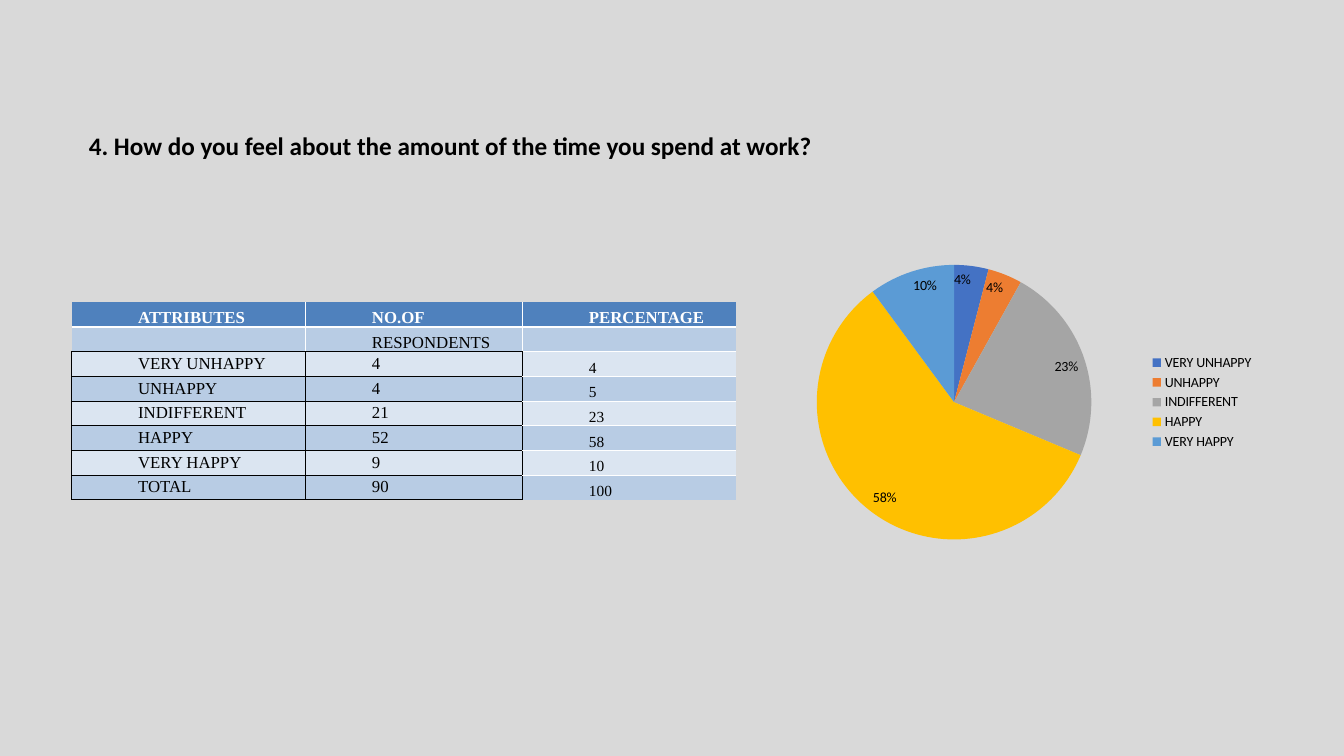
from lxml.etree import SubElement as Sub
from pptx import Presentation
from pptx.chart.data import CategoryChartData as ChartData
from pptx.dml.color import RGBColor
from pptx.enum.chart import XL_CHART_TYPE as Kind
from pptx.enum.chart import XL_LABEL_POSITION as Spot
from pptx.enum.chart import XL_LEGEND_POSITION as Side
from pptx.enum.text import MSO_ANCHOR as Anchor
from pptx.enum.text import PP_ALIGN as Align
from pptx.oxml.ns import qn
from pptx.util import Pt

TITLE = "4. How do you feel about the amount of the time you spend at work?"
ROWS = [
    ("ATTRIBUTES", "NO.OF", "PERCENTAGE"),
    ("", "RESPONDENTS", ""),
    ("VERY UNHAPPY", "4", "4"),
    ("UNHAPPY", "4", "5"),
    ("INDIFFERENT", "21", "23"),
    ("HAPPY", "52", "58"),
    ("VERY HAPPY", "9", "10"),
    ("TOTAL", "90", "100"),
]
WIDTHS = (167, 155, 152.5)
ROW_H = 17.64
SLICES = [
    ("VERY UNHAPPY", 4, "4472C4"),
    ("UNHAPPY", 4, "ED7D31"),
    ("INDIFFERENT", 23, "A5A5A5"),
    ("HAPPY", 58, "FFC000"),
    ("VERY HAPPY", 10, "5B9BD5"),
]
BLACK, WHITE = "000000", "FFFFFF"
HEAD, DARK, LIGHT = "4F81BD", "B8CCE4", "DBE5F1"


def paint(fill, color):
    fill.solid()
    fill.fore_color.rgb = RGBColor.from_string(color)


def style(font, face, size, color, bold=False):
    font.name, font.size, font.bold = face, Pt(size), bold
    font.color.rgb = RGBColor.from_string(color)


def across(edge, col):
    """Colour and width of the horizontal rule above row number edge."""
    if edge == 0 or (edge == len(ROWS) and col == 2):
        return None
    if edge == 1:
        return WHITE, 1.5
    return (BLACK if col < 2 else WHITE), 1


def down(edge, row):
    """Colour and width of the vertical rule left of column number edge."""
    if edge == 3 or (row < 2 and edge == 0):
        return None
    return (WHITE if row < 2 else BLACK), 1


def border(cell, row, col):
    props = cell._tc.get_or_add_tcPr()
    rules = {"lnL": down(col, row), "lnR": down(col + 1, row),
             "lnT": across(row, col), "lnB": across(row + 1, col)}
    for tag, rule in rules.items():
        line = Sub(props, qn("a:" + tag))
        if rule is None:
            Sub(line, qn("a:noFill"))
            continue
        color, width = rule
        line.set("w", str(int(Pt(width))))
        fill = Sub(line, qn("a:solidFill"))
        Sub(fill, qn("a:srgbClr")).set("val", color)


def fill_cell(cell, row, col, text):
    border(cell, row, col)
    paint(cell.fill, HEAD if row == 0 else DARK if row % 2 else LIGHT)
    cell.margin_left = cell.margin_right = Pt(5)
    cell.margin_top = cell.margin_bottom = 0
    low = row < 2 or col == 2
    cell.vertical_anchor = Anchor.BOTTOM if low else Anchor.TOP
    para = cell.text_frame.paragraphs[0]
    para.text = text
    para.alignment = Align.JUSTIFY
    para.line_spacing = 1.15
    para._p.get_or_add_pPr().set("marL", str(int(Pt(42.5))))
    if not text:
        para._p.get_or_add_endParaRPr().set("sz", "1200")
    size = 11 if row > 1 and col == 2 else 12
    for run in para.runs:
        style(run.font, "Times New Roman", size,
              WHITE if row == 0 else BLACK, row == 0)


def add_title(slide):
    title = slide.shapes.title
    title.left, title.top = Pt(56.2), Pt(89.3)
    title.width, title.height = Pt(531.4), Pt(51)
    frame = title.text_frame
    frame.text = TITLE
    frame.word_wrap = False
    frame.vertical_anchor = Anchor.TOP
    para = frame.paragraphs[0]
    para.alignment = Align.LEFT
    para.line_spacing = 1
    style(para.runs[0].font, "Calibri", 18, BLACK, True)


def add_grid(slide):
    grid = slide.shapes.add_table(
        len(ROWS), len(WIDTHS), Pt(51.2), Pt(216),
        Pt(sum(WIDTHS)), Pt(ROW_H * len(ROWS))).table
    grid.first_row = grid.horz_banding = False
    for col, width in zip(grid.columns, WIDTHS):
        col.width = Pt(width)
    for r, row in enumerate(ROWS):
        grid.rows[r].height = Pt(ROW_H)
        for c, text in enumerate(row):
            fill_cell(grid.cell(r, c), r, c, text)


def add_pie(slide):
    names, values, colors = zip(*SLICES)
    data = ChartData()
    data.categories = names
    data.add_series("Series 1", values)
    chart = slide.shapes.add_chart(
        Kind.PIE, Pt(543), Pt(179.3), Pt(360), Pt(216), data).chart
    chart.has_title = False
    style(chart.font, "Calibri", 10, BLACK)
    chart.has_legend = True
    chart.legend.position = Side.RIGHT
    chart.legend.include_in_layout = False
    plot = chart.plots[0]
    plot.vary_by_categories = True
    for i, color in enumerate(colors):
        paint(plot.series[0].points[i].format.fill, color)
    plot.has_data_labels = True
    labels = plot.data_labels
    labels.show_value = True
    labels.number_format = '0"%"'
    labels.number_format_is_linked = False
    labels.position = Spot.INSIDE_END
    style(labels.font, "Calibri", 10, BLACK)


def main():
    deck = Presentation()
    deck.slide_width, deck.slide_height = Pt(960), Pt(540)
    slide = deck.slides.add_slide(deck.slide_layouts[5])
    paint(slide.background.fill, "D9D9D9")
    add_title(slide)
    add_grid(slide)
    add_pie(slide)
    deck.save("out.pptx")


if __name__ == "__main__":
    main()
